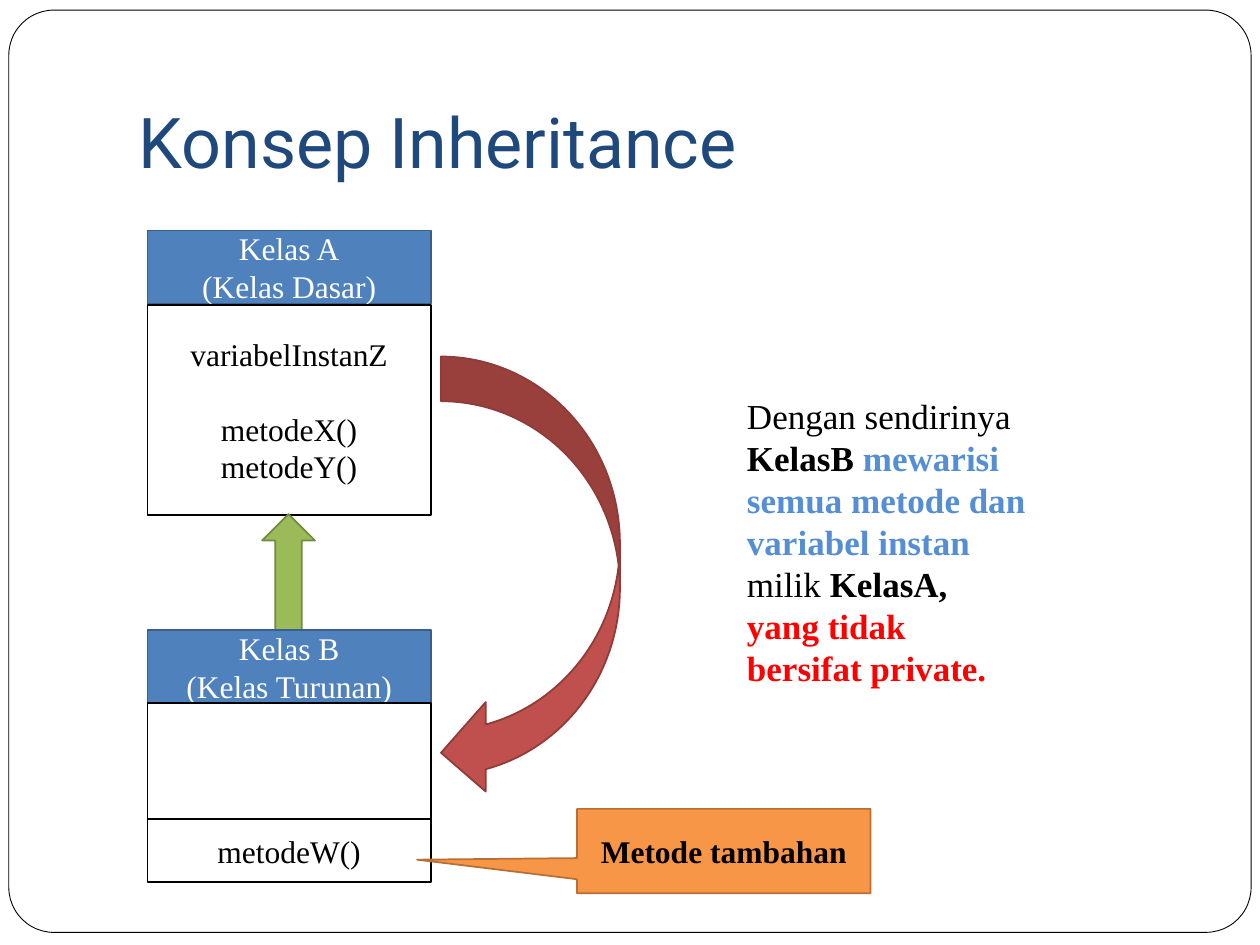
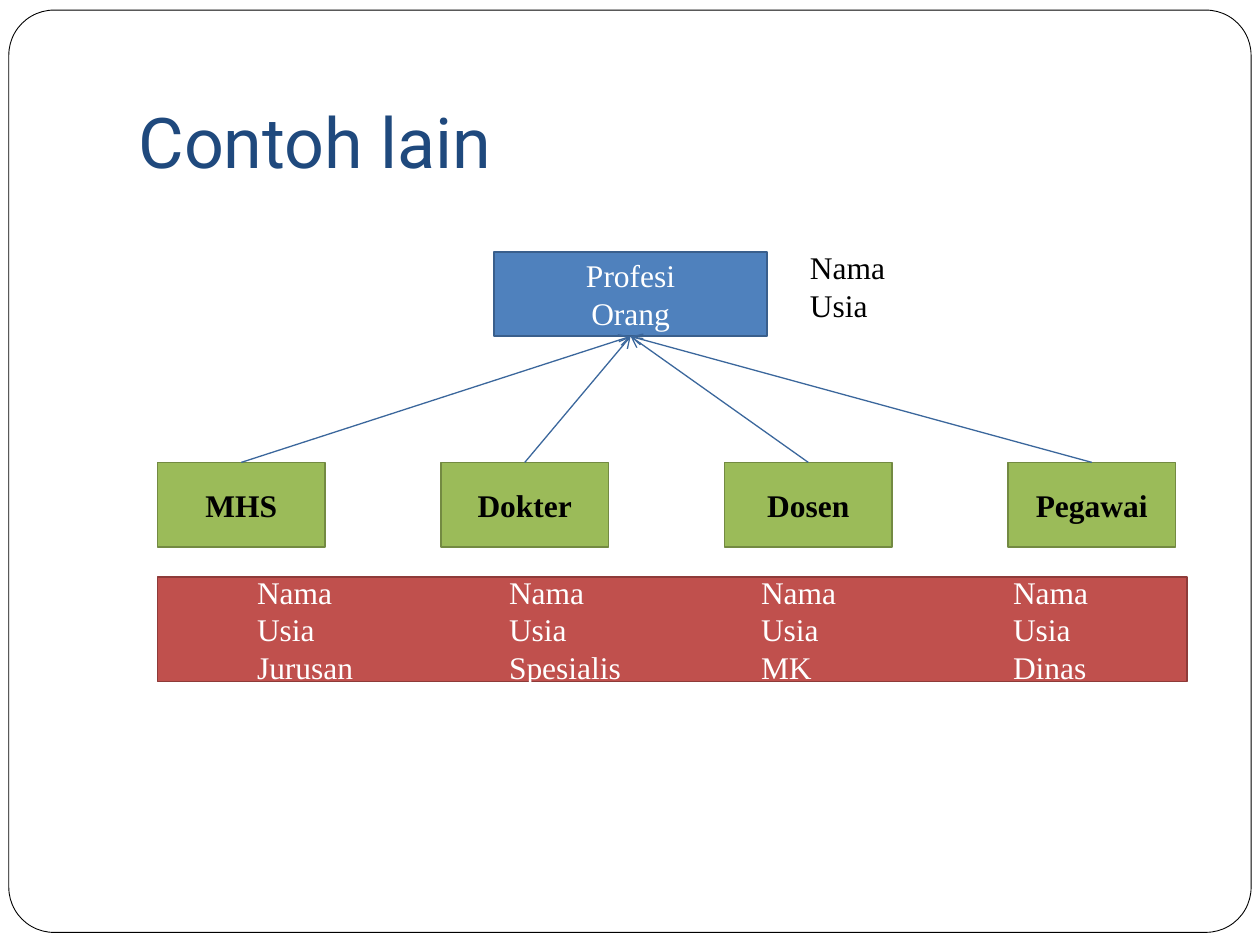
from lxml import etree
from pptx import Presentation
from pptx.dml.color import RGBColor
from pptx.enum.shapes import MSO_CONNECTOR as Connector, MSO_SHAPE as Shape
from pptx.enum.text import MSO_ANCHOR as Anchor, PP_ALIGN as Align
from pptx.oxml.ns import qn
from pptx.util import Inches, Pt

TITLE_FONT = "Roboto"
BODY_FONT = "Times New Roman"
TITLE_COLOR = "1F497D"
BLACK, WHITE = "000000", "FFFFFF"
CONNECTOR_COLOR = "3B679C"
PARENT = ("4F81BD", "3A5F8C")
GREEN = ("9BBB59", "738A42")
RED = ("C0504D", "8E3B39")
ORANGE = ("F79646", "B76F34")
PLAIN = (WHITE, BLACK)


def rgb(color):
    return RGBColor.from_string(color)


def style_font(font, size, color, bold=False, name=BODY_FONT):
    font.name = name
    font.size = Pt(size)
    font.bold = bold
    font.color.rgb = rgb(color)


def write_lines(text_frame, lines, color, bold=False, align=Align.CENTER):
    text_frame.text = "\n".join(lines)
    for paragraph in text_frame.paragraphs:
        paragraph.alignment = align
        style_font(paragraph.font, 18, color, bold)


def add_box(slide, kind, place, colors, lines=(), text_color=BLACK, bold=False,
            line_width=1):
    shape = slide.shapes.add_shape(kind, *map(Inches, place))
    shape.shadow.inherit = False
    fill, line = colors
    shape.fill.solid()
    shape.fill.fore_color.rgb = rgb(fill)
    shape.line.color.rgb = rgb(line)
    shape.line.width = Pt(line_width)
    if lines:
        text_frame = shape.text_frame
        text_frame.word_wrap = True
        text_frame.vertical_anchor = Anchor.MIDDLE
        write_lines(text_frame, lines, text_color, bold)
    return shape


def add_text(slide, place):
    text_frame = slide.shapes.add_textbox(*map(Inches, place)).text_frame
    text_frame.word_wrap = True
    return text_frame


def add_title_slide(presentation, text):
    slide = presentation.slides.add_slide(presentation.slide_layouts[5])
    title = slide.shapes.title
    frame = add_box(slide, Shape.ROUNDED_RECTANGLE, (0.07, 0.08, 9.86, 7.32),
                    PLAIN, line_width=0.5)
    frame.adjustments[0] = 0.049
    title.element.addprevious(frame.element)

    title.left, title.top = Inches(1), Inches(0.3)
    title.width, title.height = Inches(8.5), Inches(1.25)
    text_frame = title.text_frame
    text_frame.text = text
    text_frame.vertical_anchor = Anchor.BOTTOM
    text_frame.margin_bottom = Inches(0.1)
    paragraph = text_frame.paragraphs[0]
    paragraph.alignment = Align.LEFT
    style_font(paragraph.font, 40, TITLE_COLOR, name=TITLE_FONT)
    return slide


def add_inheritance_arrow(slide, child, parent):
    connector = slide.shapes.add_connector(Connector.STRAIGHT, 0, 0, 0, 0)
    connector.begin_connect(child, 0)
    connector.end_connect(parent, 2)
    connector.line.color.rgb = rgb(CONNECTOR_COLOR)
    connector.line.width = Pt(0.75)
    line = connector.line._get_or_add_ln()
    etree.SubElement(line, qn("a:tailEnd"), type="arrow")
    etree.SubElement(connector.element.spPr, qn("a:effectLst"))


def add_tab_stops(paragraph, positions):
    properties = paragraph._p.get_or_add_pPr()
    tab_list = etree.Element(qn("a:tabLst"))
    for position in positions:
        etree.SubElement(tab_list, qn("a:tab"), pos=str(Inches(position)), algn="l")
    defaults = properties.find(qn("a:defRPr"))
    if defaults is None:
        properties.append(tab_list)
    else:
        defaults.addprevious(tab_list)


def add_class_box(slide, top, height, lines=(), colors=PLAIN, text_color=BLACK):
    return add_box(slide, Shape.RECTANGLE, (1.17, top, 2.25, height), colors,
                   lines, text_color)


def build_concept_slide(presentation):
    slide = add_title_slide(presentation, "Konsep Inheritance")
    add_class_box(slide, 1.83, 0.58, ("Kelas A", "(Kelas Dasar)"), PARENT, WHITE)
    members = add_class_box(slide, 2.42, 1.67,
                            ("variabelInstanZ", "metodeX()", "metodeY()"))
    members.text_frame.paragraphs[1].space_before = Pt(21)
    add_box(slide, Shape.UP_ARROW, (2.08, 4.08, 0.42, 0.92), GREEN)
    add_class_box(slide, 5, 0.58, ("Kelas B", "(Kelas Turunan)"), PARENT, WHITE)
    add_class_box(slide, 5.58, 0.92)
    add_class_box(slide, 6.5, 0.5, ("metodeW()",))
    add_box(slide, Shape.CURVED_LEFT_ARROW, (3.5, 2.83, 1.42, 3.5), RED)

    paragraph = add_text(slide, (5.83, 3.08, 2.42, 2.46)).paragraphs[0]
    for text, color, bold in (
        ("Dengan sendirinya ", BLACK, False),
        ("KelasB ", BLACK, True),
        ("mewarisi semua metode dan variabel instan ", "558ED5", True),
        ("milik ", BLACK, False),
        ("KelasA, ", BLACK, True),
        ("yang tidak bersifat private.", "FF0000", True),
    ):
        run = paragraph.add_run()
        run.text = text
        style_font(run.font, 20, color, bold)

    callout = add_box(slide, Shape.RECTANGULAR_CALLOUT, (4.58, 6.42, 2.33, 0.67),
                      ORANGE, ("Metode tambahan",), bold=True)
    callout.adjustments[0] = -1.045
    callout.adjustments[1] = 0.102


def build_example_slide(presentation):
    slide = add_title_slide(presentation, "Contoh lain")
    parent = add_box(slide, Shape.RECTANGLE, (3.92, 2, 2.17, 0.67), PARENT,
                     ("Profesi", "Orang"), WHITE)
    professions = {"MHS": "Jurusan", "Dokter": "Spesialis",
                   "Dosen": "MK", "Pegawai": "Dinas"}
    children = [
        add_box(slide, Shape.RECTANGLE, (1.25 + 2.25 * index, 3.67, 1.33, 0.67),
                GREEN, (name,), bold=True)
        for index, name in enumerate(professions)
    ]
    for child in children:
        add_inheritance_arrow(slide, child, parent)

    count = len(professions)
    rows = (["Nama"] * count, ["Usia"] * count, professions.values())
    attributes = add_box(slide, Shape.RECTANGLE, (1.25, 4.58, 8.17, 0.83), RED,
                         ["\t".join(row) for row in rows], WHITE)
    attributes.text_frame.margin_left = Inches(0.79)
    for paragraph in attributes.text_frame.paragraphs:
        paragraph.alignment = Align.LEFT
        add_tab_stops(paragraph, range(2, 2 * count, 2))

    write_lines(add_text(slide, (6.33, 1.92, 0.83, 0.71)), ("Nama", "Usia"),
                BLACK, align=Align.LEFT)


def main():
    presentation = Presentation()
    presentation.slide_width = Inches(10)
    presentation.slide_height = Inches(7.5)
    build_concept_slide(presentation)
    build_example_slide(presentation)
    presentation.save("out.pptx")


if __name__ == "__main__":
    main()
